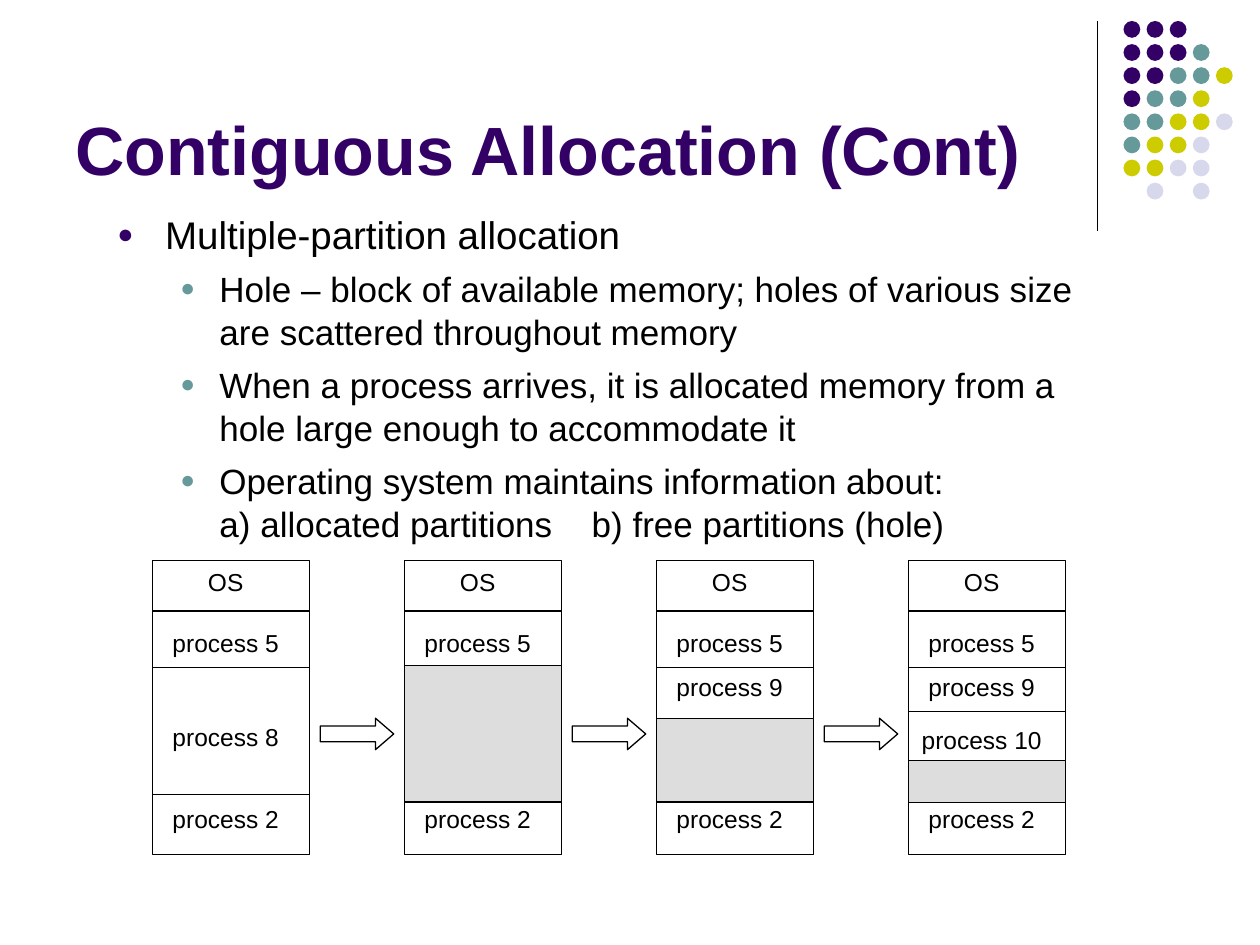
from dataclasses import dataclass

from lxml.etree import SubElement
from pptx import Presentation
from pptx.dml.color import RGBColor
from pptx.enum.shapes import MSO_CONNECTOR, MSO_SHAPE
from pptx.enum.text import MSO_ANCHOR, PP_ALIGN
from pptx.oxml.ns import qn
from pptx.util import Inches, Pt


@dataclass(frozen=True)
class Theme:
    font: str = "Arial"
    black: str = "000000"
    white: str = "FFFFFF"
    hole: str = "DDDDDD"
    purple: str = "330066"
    teal: str = "669999"
    lime: str = "CCCC00"
    pale: str = "D8D8EC"
    title: float = 39
    body: float = 22
    sub: float = 20
    label: float = 14
    line: float = 0.75


THEME = Theme()
COLS, ROWS = 120, 90  # slide grid, twelve cells to the inch

DOTS = ["PPP", "PPPT", "PPTTY", "PTTY", "TTYYL", "TYYL", "YYLL", " L L"]
INKS = {"P": THEME.purple, "T": THEME.teal, "Y": THEME.lime, "L": THEME.pale}

POINTS = [
    (0, "Multiple-partition allocation"),
    (1, "Hole – block of available memory; holes of various size "
        "are scattered throughout memory"),
    (1, "When a process arrives, it is allocated memory from a "
        "hole large enough to accommodate it"),
    (1, "Operating system maintains information about:\v"
        "a) allocated partitions"),
]

# Memory states: rows are counted from the top of the column
TOP, LEFT, STEP, WIDE, TALL = 53.4, 14.5, 24, 15, 28
HOLE_END = 23
FIXED = {"OS": 0, "process 5": 5.8, "process 2": 22.6}
STATES = [  # (rules, start of hole, further labels)
    ([4.8, 10.2, 22.3], None, {"process 8": 14.8}),
    ([4.8], 10, {}),
    ([4.8, 10.2], 15, {"process 9": 10}),
    ([4.8, 10.2, 14.4], 19, {"process 9": 10, "process 10": 15}),
]


def grid(*cells):
    return [Inches(cell / 12) for cell in cells]


def rgb(ink):
    return RGBColor.from_string(ink)


def style(para, size, ink=THEME.black, bold=False):
    font = para.font
    font.name, font.size, font.bold = THEME.font, Pt(size), bold
    font.color.rgb = rgb(ink)


def add_box(slide, kind, area, fill, line=True):
    box = slide.shapes.add_shape(kind, *grid(*area))
    box.shadow.inherit = False
    box.fill.solid()
    box.fill.fore_color.rgb = rgb(fill)
    if line:
        box.line.color.rgb = rgb(THEME.black)
        box.line.width = Pt(THEME.line)
    else:
        box.line.fill.background()
    return box


def add_rule(slide, *ends):
    rule = slide.shapes.add_connector(MSO_CONNECTOR.STRAIGHT, *grid(*ends))
    rule.line.color.rgb = rgb(THEME.black)
    rule.line.width = Pt(THEME.line)
    SubElement(rule.element.spPr, qn("a:effectLst"))


def add_text(slide, area, anchor):
    frame = slide.shapes.add_textbox(*grid(*area)).text_frame
    frame.word_wrap = True
    frame.vertical_anchor = anchor
    return frame


def add_title(slide, text):
    frame = add_text(slide, (6, 1.6, 99, 17), MSO_ANCHOR.BOTTOM)
    frame.text = text
    style(frame.paragraphs[0], THEME.title, THEME.purple, True)


def set_bullet(para, level):
    indent, hang, ink = [(0.38, 0.38, THEME.purple),
                         (0.81, 0.31, THEME.teal)][level]
    props = para._p.get_or_add_pPr()
    props.set("marL", str(Inches(indent)))
    props.set("indent", str(-Inches(hang)))
    color = SubElement(props, qn("a:buClr"))
    SubElement(color, qn("a:srgbClr"), val=ink)
    SubElement(props, qn("a:buSzPct"), val="70000")
    SubElement(props, qn("a:buFont"), typeface=THEME.font)
    SubElement(props, qn("a:buChar"), char="●")


def add_points(slide):
    frame = add_text(slide, (10, 19.3, 96.5, 34), MSO_ANCHOR.TOP)
    for i, (level, text) in enumerate(POINTS):
        para = frame.add_paragraph() if i else frame.paragraphs[0]
        para.text = text
        para.level = level
        para.line_spacing = 1.04
        para.space_before = Pt(5 if i else 0)
        set_bullet(para, level)
        style(para, THEME.sub if level else THEME.body)
    gap = para.add_run()
    gap.text = " "
    gap.font._element.set("spc", "1670")  # a wide gap between a) and b)
    para.add_run().text = "b) free partitions (hole)"


def add_label(slide, left, top, text):
    frame = add_text(slide, (left, top, 14, 4), MSO_ANCHOR.MIDDLE)
    frame.text = text
    para = frame.paragraphs[0]
    para.alignment = PP_ALIGN.CENTER
    style(para, THEME.label)


def add_state(slide, left, rules, hole, labels):
    """Draw one column of memory with its rules, hole and labels."""
    add_box(slide, MSO_SHAPE.RECTANGLE, (left, TOP, WIDE, TALL), THEME.white)
    for row in rules:
        add_rule(slide, left, TOP + row, left + WIDE, TOP + row)
    if hole is not None:
        area = (left, TOP + hole, WIDE, HOLE_END - hole)
        add_box(slide, MSO_SHAPE.RECTANGLE, area, THEME.hole)
    for text, row in (FIXED | labels).items():
        add_label(slide, left, TOP + row, text)


def add_arrow(slide, left):
    area = (left, TOP + 15, 7, 3)
    arrow = add_box(slide, MSO_SHAPE.RIGHT_ARROW, area, THEME.white)
    arrow.adjustments[0] = 0.5
    arrow.adjustments[1] = 0.58


def add_dots(slide):
    add_rule(slide, 104.5, 2, 104.5, 22)
    for row, marks in enumerate(DOTS):
        for col, mark in enumerate(marks):
            if mark in INKS:
                area = (107 + 2.2 * col, 2 + 2.2 * row, 1.6, 1.6)
                add_box(slide, MSO_SHAPE.OVAL, area, INKS[mark], False)


def main():
    deck = Presentation()
    deck.slide_width, deck.slide_height = grid(COLS, ROWS)
    slide = deck.slides.add_slide(deck.slide_layouts[6])
    add_dots(slide)
    add_title(slide, "Contiguous Allocation (Cont)")
    add_points(slide)
    for i, state in enumerate(STATES):
        left = LEFT + STEP * i
        add_state(slide, left, *state)
        if i:
            add_arrow(slide, left - 8)
    deck.save("out.pptx")


if __name__ == "__main__":
    main()
